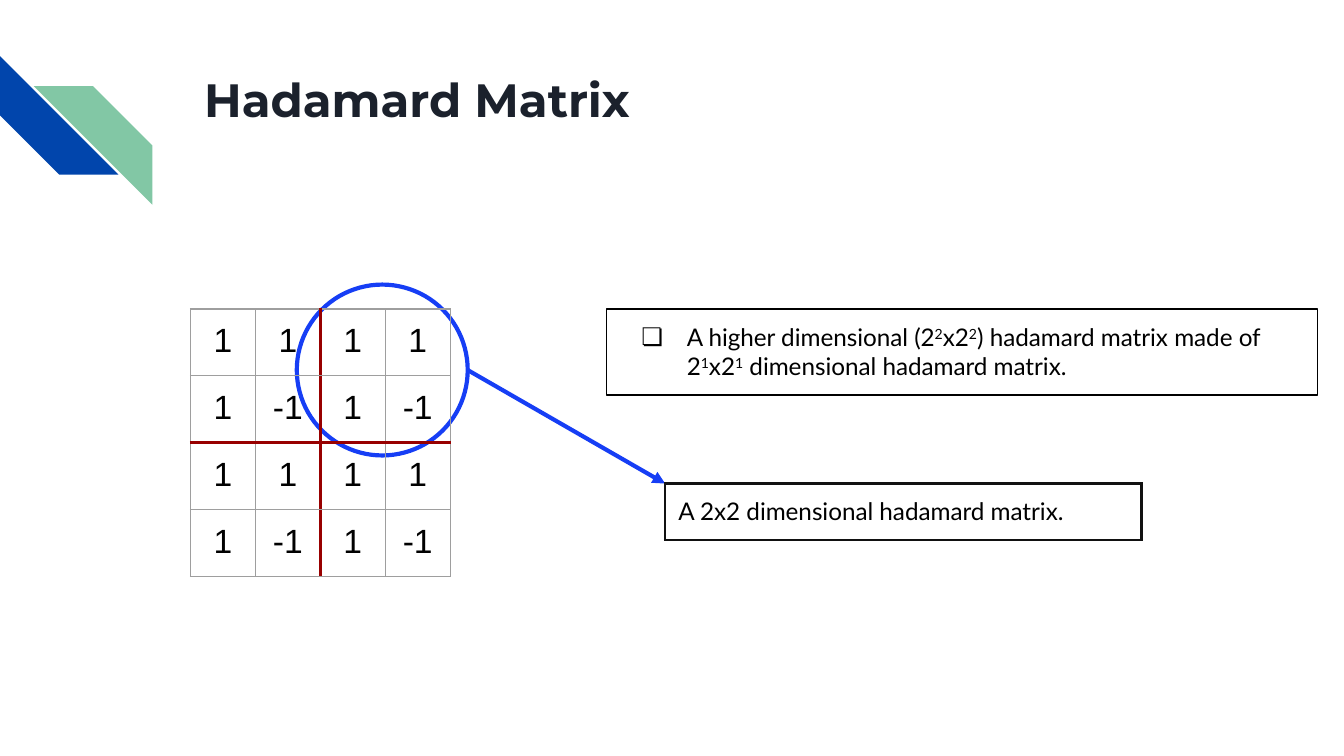
import pptx
import pptx.dml.color
import pptx.enum.shapes
import pptx.enum.text
import pptx.oxml
import pptx.oxml.ns
import pptx.util
from pptx.util import Cm

COLORS = {
    "blue": "0145AC", "green": "82C7A5", "title": "1B212C", "text": "000000",
    "accent": "163EF5", "white": "FFFFFF", "grid": "9E9E9E",
    "divider": "980000", "frame": "111111",
}
TITLE_FONT = {"name": "Montserrat", "size": 25, "bold": True, "color": "title"}
BODY_FONT = {"name": "Lato", "size": 13, "color": "text"}
MATRIX_FONT = {"name": "Arial", "size": 18, "color": "text"}
MATRIX = [
    ["1", "1", "1", "1"],
    ["1", "-1", "1", "-1"],
    ["1", "1", "1", "1"],
    ["1", "-1", "1", "-1"],
]
NOTE_PARTS = [
    "A higher dimensional (2", "2", "x2", "2", ") hadamard matrix made of 2",
    "1", "x2", "1", " dimensional hadamard matrix.",
]
INSET = 0.25
SHAPES = pptx.enum.shapes.MSO_SHAPE
SIDES = ("L", "R", "T", "B")


def rgb(name):
    return pptx.dml.color.RGBColor.from_string(COLORS[name])


def xml(tag, content="", attributes=""):
    namespace = pptx.oxml.ns.nsdecls("a")
    return pptx.oxml.parse_xml(f"<a:{tag} {namespace} {attributes}>{content}</a:{tag}>")


def add_run(paragraph, text, font):
    run = paragraph.add_run()
    run.text = text
    for key, value in font.items():
        if key == "color":
            run.font.color.rgb = rgb(value)
        else:
            setattr(run.font, key, pptx.util.Pt(value) if key == "size" else value)
    return run


def set_margins(holder):
    for side in ("left", "right", "top", "bottom"):
        setattr(holder, f"margin_{side}", Cm(INSET))


def add_shape(slide, kind, box, fill=None, line=None, width=0.75):
    shape = slide.shapes.add_shape(kind, *map(Cm, box))
    shape.shadow.inherit = False
    if fill:
        shape.fill.solid()
        shape.fill.fore_color.rgb = rgb(fill)
    else:
        shape.fill.background()
    if line:
        shape.line.color.rgb = rgb(line)
        shape.line.width = pptx.util.Pt(width)
    else:
        shape.line.fill.background()
    return shape


def set_borders(cell, borders):
    """Draw the borders, given as (color, points) in the order of SIDES."""
    properties = cell._tc.get_or_add_tcPr()
    for index, (side, (color, points)) in enumerate(zip(SIDES, borders)):
        fill = f'<a:solidFill><a:srgbClr val="{COLORS[color]}"/></a:solidFill>'
        width = f'w="{pptx.util.Pt(points)}"'
        properties.insert(index, xml(f"ln{side}", fill, width))


def add_table(slide, box, rows, font, alignment, borders_at):
    frame = slide.shapes.add_table(len(rows), len(rows[0]), *map(Cm, box))
    table = frame.table
    table.first_row = table.horz_banding = False
    for row, texts in enumerate(rows):
        for column, text in enumerate(texts):
            cell = table.cell(row, column)
            cell.fill.background()
            set_margins(cell)
            paragraph = cell.text_frame.paragraphs[0]
            paragraph.alignment = alignment
            add_run(paragraph, text, font)
            set_borders(cell, borders_at(row, column))


def add_corner_stripes(slide, box):
    left, top, width, height = box
    size = 2.24
    blue = add_shape(slide, SHAPES.DIAGONAL_STRIPE, (left, top, size, size), "blue")
    blue.rotation = 270
    green = add_shape(slide, SHAPES.DIAGONAL_STRIPE,
                      (left + width - size, top + height - size, size, size), "green")
    green._element.spPr.get_or_add_xfrm().set("flipH", "1")


def add_title(slide, box):
    frame = slide.shapes.add_textbox(*map(Cm, box)).text_frame
    frame.word_wrap = True
    set_margins(frame)
    add_run(frame.paragraphs[0], "Hadamard Matrix", TITLE_FONT)


def add_note(slide, box):
    """Bulleted note in a frame; every second part is a superscript."""
    frame = add_shape(slide, SHAPES.RECTANGLE, box, line="text").text_frame
    frame.word_wrap = True
    frame.auto_size = pptx.enum.text.MSO_AUTO_SIZE.SHAPE_TO_FIT_TEXT
    frame.vertical_anchor = pptx.enum.text.MSO_ANCHOR.TOP
    set_margins(frame)
    paragraph = frame.paragraphs[0]
    paragraph.alignment = pptx.enum.text.PP_ALIGN.LEFT
    properties = paragraph._p.get_or_add_pPr()
    properties.set("marL", str(Cm(1.27)))
    properties.set("indent", str(Cm(-0.86)))
    properties.append(xml("buClr", f'<a:srgbClr val="{COLORS["text"]}"/>'))
    properties.append(xml("buFont", attributes='typeface="Lato"'))
    properties.append(xml("buChar", attributes='char="❏"'))
    for index, part in enumerate(NOTE_PARTS):
        run = add_run(paragraph, part, BODY_FONT)
        if index % 2:
            run._r.get_or_add_rPr().set("baseline", "30000")


def add_matrix(slide, box):
    """Matrix with dividers between its four quadrants; one quadrant is circled."""
    left, top, width, height = box
    middle = len(MATRIX) // 2
    grid, divider = ("grid", 0.75), ("divider", 2.25)

    def borders_at(row, column):
        on_divider = (column == middle, column == middle - 1,
                      row == middle, row == middle - 1)
        return [divider if hit else grid for hit in on_divider]

    circle = add_shape(slide, SHAPES.OVAL, (left + 2.01, top - 0.46, 3.23, 3.23),
                       "white", "accent", 2.25)
    add_table(slide, box, MATRIX, MATRIX_FONT,
              pptx.enum.text.PP_ALIGN.CENTER, borders_at)
    return circle


def add_callout(slide, box, circle):
    """Framed label with an arrow that comes from the circle."""
    left, top, width, height = box
    connector = slide.shapes.add_connector(
        pptx.enum.shapes.MSO_CONNECTOR.STRAIGHT, circle.left + circle.width,
        circle.top + circle.height // 2, Cm(left), Cm(top))
    connector.line.color.rgb = rgb("accent")
    connector.line.width = pptx.util.Pt(2.25)
    connector.line._get_or_add_ln().append(xml("tailEnd", attributes='type="triangle"'))
    connector._element.spPr.append(xml("effectLst"))
    add_table(slide, box, [["A 2x2 dimensional hadamard matrix."]], BODY_FONT,
              pptx.enum.text.PP_ALIGN.LEFT,
              lambda row, column: [("frame", 1.5)] * len(SIDES))


def main():
    presentation = pptx.Presentation()
    presentation.slide_width = Cm(25.4)
    presentation.slide_height = Cm(14.29)
    slide = presentation.slides.add_slide(presentation.slide_layouts[6])
    add_corner_stripes(slide, (0, 1.06, 2.88, 2.81))
    add_title(slide, (3.61, 1.09, 19.56, 2.54))
    add_note(slide, (11.46, 5.84, 13.44, 1.63))
    circle = add_matrix(slide, (3.6, 5.84, 4.91, 4.48))
    add_callout(slide, (12.57, 9.14, 9, 1.07), circle)
    presentation.save("out.pptx")


if __name__ == "__main__":
    main()
